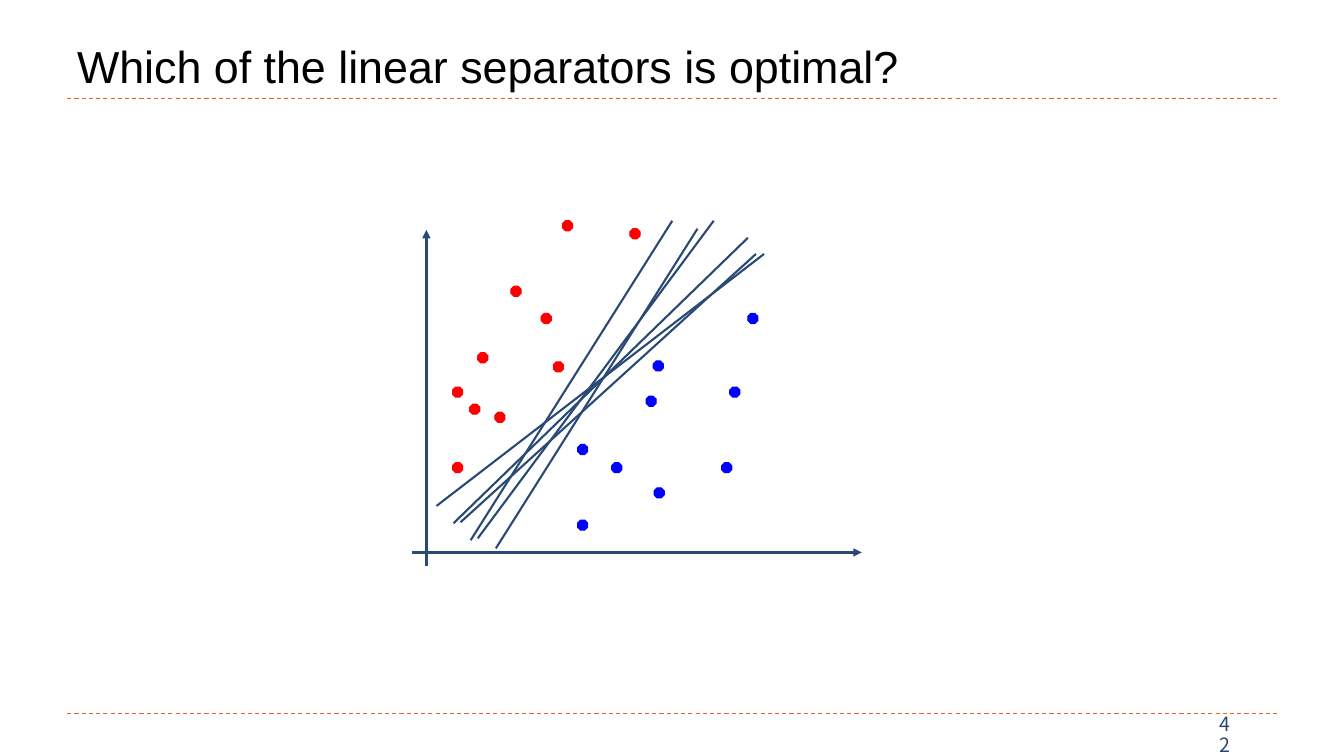
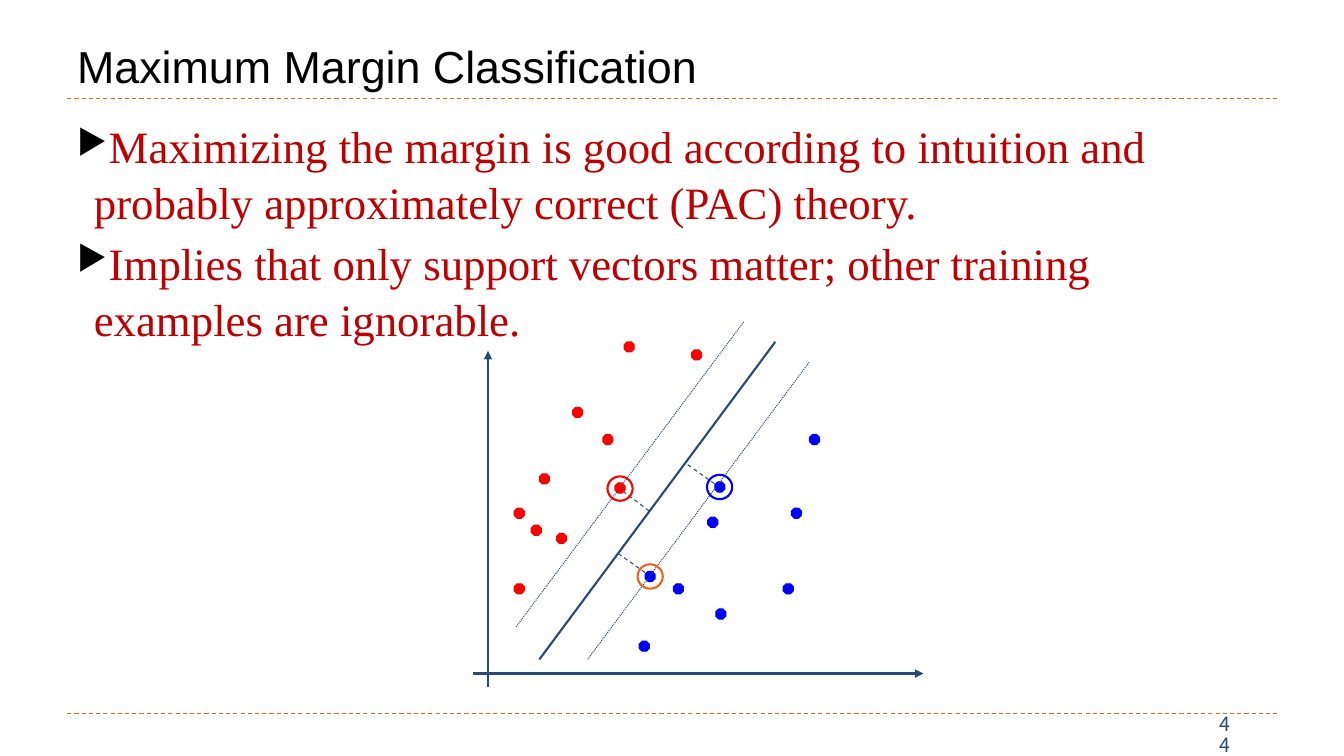
from dataclasses import dataclass

from pptx import Presentation
from pptx.dml.color import RGBColor
from pptx.enum.dml import MSO_LINE
from pptx.enum.shapes import MSO_CONNECTOR, MSO_SHAPE
from pptx.enum.text import MSO_ANCHOR
from pptx.oxml.ns import qn
from pptx.util import Pt
from lxml.etree import SubElement


@dataclass(frozen=True)
class Theme:
    black: str = "000000"
    navy: str = "2A4A75"
    orange: str = "EB641B"
    red: str = "FF0000"
    blue: str = "0000FF"
    dark_red: str = "C00000"
    title_font: str = "Arial"
    body_font: str = "Times New Roman"
    number_font: str = "Noto Sans CJK SC"
    title_size: float = 32
    body_size: float = 32
    number_size: float = 14
    thin: float = 0.75
    medium: float = 1.5
    thick: float = 2


T = Theme()
MARGIN, CONTENT_W = 48, 864
PLOT_H, PLOT_W = 246, 321.6
DOT = 7.2
RING_W, RING_H = 18, 17.4

# Positions inside the plot box, in points from its top left corner
RED_DOTS = [(96.2, 69.5), (50.9, 97.6), (63.1, 140.1), (32.9, 176.1), (74.6, 50.1),
            (32.9, 122.1), (45.1, 134.3), (104.9, 104.1), (111.4, 3.3), (159.6, 9)]
BLUE_DOTS = [(176.2, 103.4), (146.6, 176.1), (225.1, 176.1), (122.2, 217.1),
             (171.1, 128.6), (176.9, 194.1), (230.9, 122.1), (243.8, 69.5)]
NEAR_BLUE = (122.2, 163.1)
SUPPORT_BLUE = (126.4, 167.3)
BEST_SEPARATOR = ((47.3, 226.5), (215.8, -0.3))
OTHER_SEPARATORS = [((35, 215), (246, 23.4)), ((17.8, 203.4), (251.8, 23.4)),
                    ((60.2, 233.7), (204.2, 5.4)), ((42.2, 227.9), (186.2, -0.3)),
                    ((30, 215.7), (240.2, 11.9))]
MARGIN_LINES = [((81.8, 226.4), (240.2, 14)), ((30.6, 203.3), (193.4, -14.8))]
PROJECTIONS = [((172.5, 101.1), (152.3, 86.7)), ((122.8, 164.5), (103.4, 150.8)),
               ((125.7, 120.5), (107.7, 106.9))]
RINGS = [((104.9, 104.5), T.red), (SUPPORT_BLUE, T.orange), ((176, 103.4), T.blue)]


def rgb(value):
    return RGBColor.from_string(value)


def add_text(s, box, paragraphs, *, font, size, color, anchor=MSO_ANCHOR.TOP,
             spacing=1.0, gap=0, bullet=None):
    tf = s.shapes.add_textbox(*map(Pt, box)).text_frame
    tf.word_wrap = True
    tf.vertical_anchor = anchor
    for i, text in enumerate(paragraphs):
        p = tf.paragraphs[0] if i == 0 else tf.add_paragraph()
        if bullet:
            add_bullet(p, bullet)
        p.line_spacing = spacing
        if i:
            p.space_before = Pt(gap)
        r = p.add_run()
        r.text = text
        r.font.name = font
        r.font.size = Pt(size)
        r.font.color.rgb = rgb(color)


def add_bullet(p, char, indent=12, percent=76):
    pPr = p._p.get_or_add_pPr()
    pPr.set("marL", str(Pt(indent)))
    pPr.set("indent", str(-Pt(indent)))
    SubElement(SubElement(pPr, qn("a:buClr")), qn("a:srgbClr")).set("val", T.black)
    SubElement(pPr, qn("a:buSzPct")).set("val", str(percent * 1000))
    SubElement(pPr, qn("a:buChar")).set("char", char)


def add_line(s, start, end, *, origin=(0, 0), color=T.navy, width=T.medium,
             dash=None, arrow=False):
    ends = [Pt(o + v) for point in (start, end) for o, v in zip(origin, point)]
    line = s.shapes.add_connector(MSO_CONNECTOR.STRAIGHT, *ends)
    line.line.color.rgb = rgb(color)
    line.line.width = Pt(width)
    if dash is not None:
        line.line.dash_style = dash
    if arrow:
        SubElement(line.line._get_or_add_ln(), qn("a:tailEnd")).set("type", "triangle")
    SubElement(line._element.spPr, qn("a:effectLst"))


def add_marker(s, kind, center, w, h, *, origin, color, width, filled):
    x, y = (o + c for o, c in zip(origin, center))
    sp = s.shapes.add_shape(kind, Pt(x - w / 2), Pt(y - h / 2), Pt(w), Pt(h))
    sp.shadow.inherit = False
    sp.line.color.rgb = rgb(color)
    sp.line.width = Pt(width)
    if filled:
        sp.fill.solid()
        sp.fill.fore_color.rgb = rgb(color)
    else:
        sp.fill.background()


def add_frame(prs, title, number):
    """Add a slide with the shared title, rules and page number."""
    s = prs.slides.add_slide(prs.slide_layouts[6])
    for y in (70.6, 509.8):
        add_line(s, (MARGIN, y), (MARGIN + CONTENT_W, y), color=T.orange,
                 width=T.thin, dash=MSO_LINE.DASH)
    add_text(s, (MARGIN, 12.2, CONTENT_W, 57.6), [title], font=T.title_font,
             size=T.title_size, color=T.black, anchor=MSO_ANCHOR.BOTTOM, spacing=0.9)
    add_text(s, (864, 513.4, 29.5, 24.5), [number], font=T.number_font,
             size=T.number_size, color=T.navy, anchor=MSO_ANCHOR.MIDDLE, spacing=0.9)
    return s


def add_scatter(s, origin, near_blue):
    """Draw both axes and the two classes of points in the plot box."""
    for start, end in [((10.6, PLOT_H), (10.6, 6.2)), ((0, 236.6), (PLOT_W, 236.6))]:
        add_line(s, start, end, origin=origin, width=T.thick, arrow=True)
    for color, dots in [(T.red, RED_DOTS), (T.blue, BLUE_DOTS + [near_blue])]:
        for center in dots:
            add_marker(s, MSO_SHAPE.OCTAGON, center, DOT, DOT, origin=origin,
                       color=color, width=T.thin, filled=True)


def add_separators_slide(prs):
    s = add_frame(prs, "Which of the linear separators is optimal?", "42")
    origin = (294, 158)
    add_scatter(s, origin, NEAR_BLUE)
    for start, end in [BEST_SEPARATOR] + OTHER_SEPARATORS:
        add_line(s, start, end, origin=origin)


def add_margin_slide(prs):
    s = add_frame(prs, "Maximum Margin Classification", "44")
    add_text(s, (MARGIN, 80, CONTENT_W, 424), [
        "Maximizing the margin is good according to intuition and probably "
        "approximately correct (PAC) theory.",
        "Implies that only support vectors matter; other training examples are ignorable.",
    ], font=T.body_font, size=T.body_size, color=T.dark_red, spacing=1.04, gap=3.4,
        bullet="▶")
    origin = (338, 244.5)
    add_scatter(s, origin, SUPPORT_BLUE)
    add_line(s, *BEST_SEPARATOR, origin=origin)
    for dash, lines in [(MSO_LINE.DASH, PROJECTIONS), (MSO_LINE.ROUND_DOT, MARGIN_LINES)]:
        for start, end in lines:
            add_line(s, start, end, origin=origin, width=T.thin, dash=dash)
    for center, color in RINGS:
        add_marker(s, MSO_SHAPE.OVAL, center, RING_W, RING_H, origin=origin,
                   color=color, width=T.medium, filled=False)


def main():
    prs = Presentation()
    prs.slide_width, prs.slide_height = Pt(960), Pt(540)
    add_separators_slide(prs)
    add_margin_slide(prs)
    prs.save("out.pptx")


if __name__ == "__main__":
    main()
